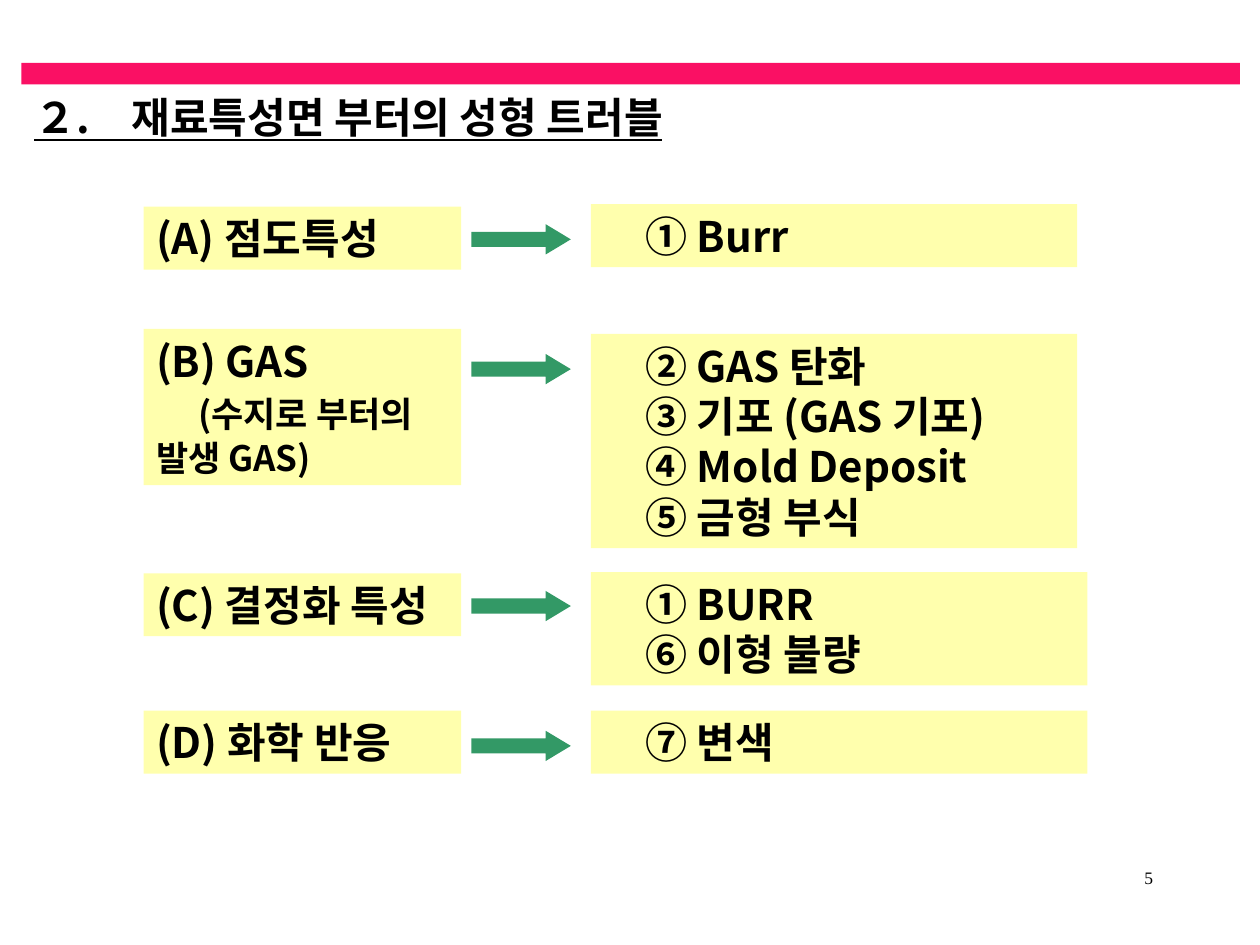
import pptx
import pptx.dml.color
import pptx.enum.shapes
import pptx.enum.text
import pptx.oxml.ns
import pptx.util
from lxml import etree

Inches = pptx.util.Inches
Pt = pptx.util.Pt
RGBColor = pptx.dml.color.RGBColor
Shape = pptx.enum.shapes.MSO_SHAPE
Align = pptx.enum.text.PP_ALIGN
Anchor = pptx.enum.text.MSO_ANCHOR
qn = pptx.oxml.ns.qn

BLACK = RGBColor(0, 0, 0)
PINK = RGBColor(0xFA, 0x10, 0x64)
YELLOW = RGBColor(0xFF, 0xFF, 0x99)
GREEN = RGBColor(0x33, 0x99, 0x66)
FONT = "Noto Sans CJK JP"

# Cause box, arrow and trouble box of each row
LEFT, WIDE = 1.14, 2.52
ROWS = [
    # cause runs (text, size), top, height; arrow top;
    # troubles, top, width, height
    ([("(A) 점도특성", 24)], 1.64, 0.5, 1.78,
     ["① Burr"], 1.62, 3.86, 0.5),
    ([("(B) GAS\v\u3000".replace("\u3000", "　"), 24),
      ("(수지로 부터의 발생 GAS)", 20)], 2.61, 1.24, 2.81,
     ["② GAS 탄화", "③ 기포 (GAS 기포)", "④ Mold Deposit", "⑤ 금형 부식"],
     2.65, 3.86, 1.7),
    ([("(C) 결정화 특성", 24)], 4.55, 0.5, 4.69,
     ["① BURR", "⑥ 이형 불량"], 4.54, 3.94, 0.9),
    ([("(D) 화학 반응", 24)], 5.64, 0.5, 5.8,
     ["⑦ 변색"], 5.64, 3.94, 0.5),
]


def add_block(slide, kind, box, color):
    """Add a plain filled shape without line or shadow."""
    shape = slide.shapes.add_shape(kind, *map(Inches, box))
    shape.shadow.inherit = False
    shape.fill.solid()
    shape.fill.fore_color.rgb = color
    shape.line.fill.background()
    return shape


def set_text(shape, runs, name=FONT, bold=True, align=Align.LEFT,
             anchor=Anchor.MIDDLE):
    """Write one paragraph of (text, size) runs; \\v breaks a line."""
    frame = shape.text_frame
    frame.word_wrap = True
    frame.auto_size = pptx.enum.text.MSO_AUTO_SIZE.NONE
    frame.vertical_anchor = anchor
    para = frame.paragraphs[0]
    para.alignment = align
    font = para.font
    font.size = Pt(runs[0][1])
    font.bold = bold
    font.color.rgb = BLACK
    font.name = name
    # East Asian letters take their own typeface
    base = para._p.pPr.find(qn("a:defRPr"))
    etree.SubElement(base, qn("a:ea")).set("typeface", name)
    for text, size in runs:
        for count, line in enumerate(text.split("\v")):
            if count:
                para.add_line_break()
            run = para.add_run()
            run.text = line
            if size != runs[0][1]:
                run.font.size = Pt(size)
    return para


def add_card(slide, box, runs):
    """Add a pale yellow text box, slightly see-through."""
    card = add_block(slide, Shape.RECTANGLE, box, YELLOW)
    color = card._element.spPr.find(".//" + qn("a:srgbClr"))
    etree.SubElement(color, qn("a:alpha")).set("val", "80000")
    set_text(card, runs)


def add_arrow(slide, top):
    arrow = add_block(slide, Shape.RIGHT_ARROW, (3.74, top, 0.79, 0.24), GREEN)
    arrow.adjustments[0] = 0.5
    arrow.adjustments[1] = 0.83


def add_title(slide, text):
    title = slide.shapes.title
    title.left, title.top = Inches(0.17), Inches(0.68)
    title.width, title.height = Inches(9.32), Inches(0.5)
    set_text(title, [(text, 24)]).font.underline = True


def add_number(slide, text):
    box = slide.shapes.add_textbox(*map(Inches, (7.17, 6.83, 2.08, 0.5)))
    set_text(box, [(text, 10)], "Times New Roman", False, Align.RIGHT,
             Anchor.TOP)


def main():
    deck = pptx.Presentation()
    deck.slide_width, deck.slide_height = Inches(10), Inches(7.5)
    slide = deck.slides.add_slide(deck.slide_layouts[5])

    # Header bar, title and page number
    add_block(slide, Shape.RECTANGLE, (0.17, 0.5, 9.67, 0.17), PINK)
    add_title(slide, "２.　재료특성면 부터의 성형 트러블")
    add_number(slide, "5")

    # Causes and the troubles they lead to
    for cause, top, high, mid, items, y, width, height in ROWS:
        add_card(slide, (LEFT, top, WIDE, high), cause)
        add_arrow(slide, mid)
        lines = "\v".join("　" + item for item in items)
        add_card(slide, (4.69, y, width, height), [(lines, 24)])

    deck.save("out.pptx")


if __name__ == "__main__":
    main()
